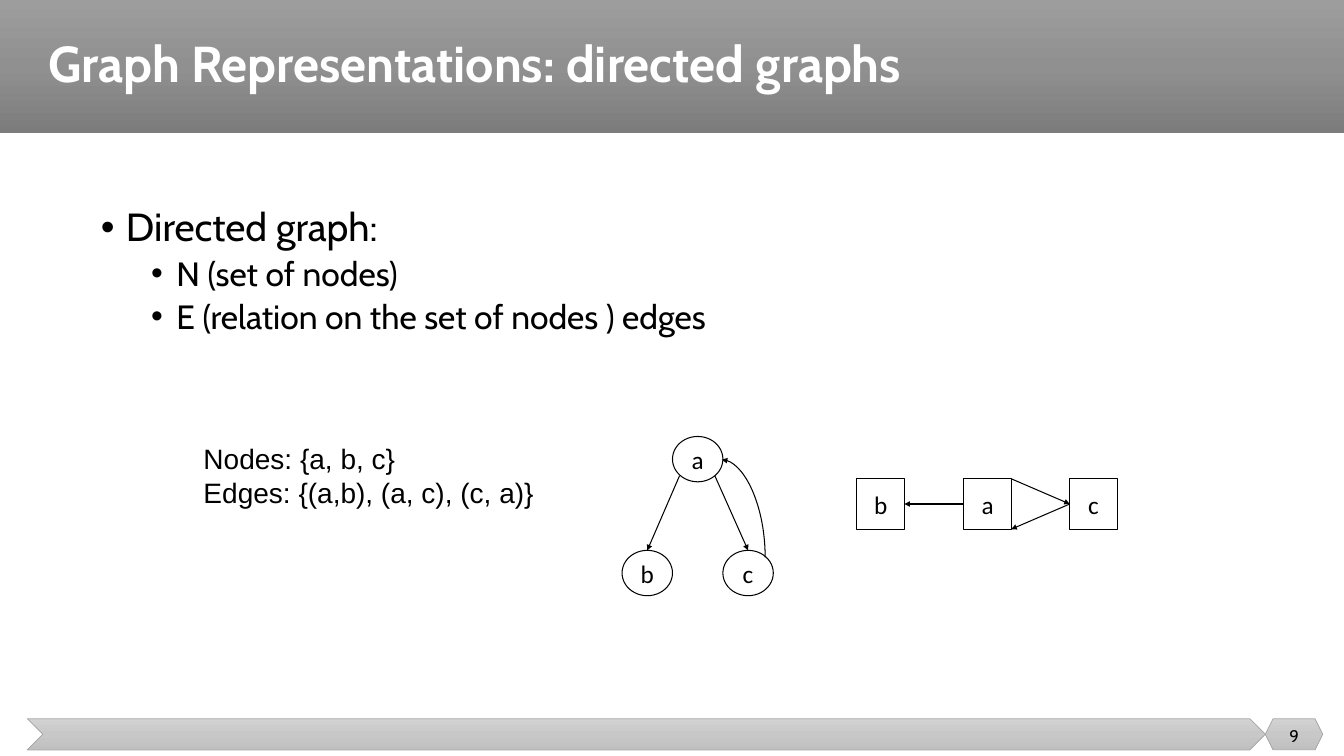
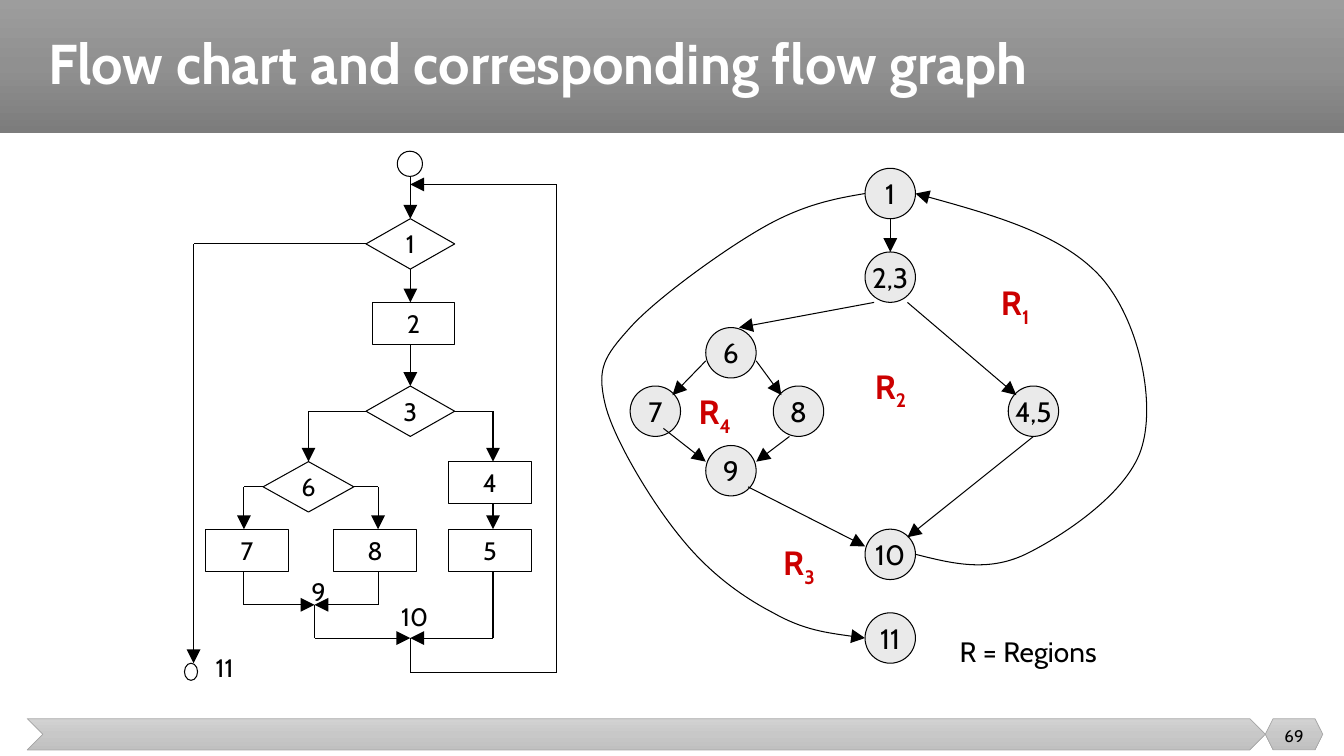
from copy import deepcopy
from typing import NamedTuple

from lxml import etree
from pptx import Presentation
from pptx import util as u
from pptx.dml.color import RGBColor
from pptx.enum import shapes, text
from pptx.oxml.ns import qn

COLORS = {"ink": "000000", "paper": "FFFFFF", "node": "EAEAEA", "region": "CC0000", "edge": "A5A5A5"}
BAND = ("9D9D9D", "909090", "7C7C7C")
FOOTER = ("D2D2D2", "C8C8C8", "C0C0C0")
KIND = shapes.MSO_SHAPE
ALIGN = text.PP_ALIGN
ANCHOR = text.MSO_ANCHOR


class Node(NamedTuple):
    """A labelled outline placed by its top left corner."""
    label: str
    x: float
    y: float
    w: float = 0.5
    h: float = 0.5
    kind: int = KIND.OVAL
    fill: str | None = None
    size: int = 18
    font: str = "Cabin"


class Label(NamedTuple):
    """A line of free text, with an optional subscript."""
    text: str
    x: float
    y: float
    w: float
    h: float = 0.4
    sub: str = ""


def rgb(name: str) -> RGBColor:
    """Look up a colour by name or take it as hex."""
    return RGBColor.from_string(COLORS.get(name, name))


def write(tf, content: str, *, size: float = 18, font: str = "Cabin", color: str = "ink",
          bold: bool = False, align=ALIGN.LEFT, level: int | None = None,
          spacing: float | None = None, before: float = 0, sub: str = "") -> None:
    """Add one paragraph to a text frame."""
    p = tf.paragraphs[0]
    if p.runs:
        p = tf.add_paragraph()
        p.space_before = u.Pt(before)
    p.alignment = align
    if spacing:
        p.line_spacing = spacing
    if level is not None:
        p.level = level
        pPr = p._p.get_or_add_pPr()
        pPr.set("marL", str(u.Inches(0.25 + 0.5 * level)))
        pPr.set("indent", str(u.Inches(-0.25)))
        etree.SubElement(pPr, qn("a:buFont")).set("typeface", "Arial")
        etree.SubElement(pPr, qn("a:buChar")).set("char", "•")
    for part in filter(None, (content, sub)):
        r = p.add_run()
        r.text = part
        r.font.size, r.font.name, r.font.bold = u.Pt(size), font, bold
        r.font.color.rgb = rgb(color)
    if sub:
        r._r.get_or_add_rPr().set("baseline", "-25000")


def text_box(s, x: float, y: float, w: float, h: float, anchor=ANCHOR.TOP, wrap: bool = True):
    """Add an empty text box and return its frame."""
    tf = s.shapes.add_textbox(*map(u.Inches, (x, y, w, h))).text_frame
    tf.word_wrap, tf.vertical_anchor = wrap, anchor
    return tf


def outline(sp, color: str = "ink", width: float = 0.75, head: str = "") -> None:
    """Set a line and, if a head size is given, its closing arrowhead."""
    sp.line.color.rgb = rgb(color)
    sp.line.width = u.Pt(width)
    if head:
        ln = sp._element.spPr.find(qn("a:ln"))
        etree.SubElement(ln, qn("a:tailEnd"), type="triangle", w=head, len=head)


def gradient_shape(s, kind, x: float, y: float, w: float, h: float, stops, edge: bool = True) -> None:
    """Add a shape with a vertical three-stop gradient."""
    sp = s.shapes.add_shape(kind, *map(u.Inches, (x, y, w, h)))
    sp.shadow.inherit = False
    sp.fill.gradient()
    sp.fill.gradient_angle = 270
    gs_list = sp._element.spPr.find(".//" + qn("a:gsLst"))
    gs_list.insert(1, deepcopy(gs_list[0]))
    for i, (stop, color) in enumerate(zip(sp.fill.gradient_stops, stops)):
        stop.position = i / 2
        stop.color.rgb = rgb(color)
    if edge:
        outline(sp, "edge", 0.5)
    else:
        sp.line.fill.background()


def new_slide(prs, title: str, title_size: float, number: int):
    """Add a slide with the title band and footer."""
    s = prs.slides.add_slide(prs.slide_layouts[6])
    gradient_shape(s, KIND.RECTANGLE, 0, 0, 13.33, 1.32, BAND, edge=False)
    gradient_shape(s, KIND.CHEVRON, 0.27, 7.13, 12.28, 0.31, FOOTER)
    gradient_shape(s, KIND.HEXAGON, 12.55, 7.13, 0.57, 0.31, FOOTER)
    write(text_box(s, 0.38, 0, 12.74, 1.32, ANCHOR.MIDDLE), title,
          size=title_size, color="paper", bold=True, spacing=0.9)
    write(text_box(s, 12.55, 7.1, 0.57, 0.4, ANCHOR.MIDDLE), str(number), size=12, align=ALIGN.CENTER)
    return s


def draw_node(s, node: Node):
    """Draw a node and return its shape."""
    sp = s.shapes.add_shape(node.kind, *map(u.Inches, (node.x, node.y, node.w, node.h)))
    sp.shadow.inherit = False
    if node.fill:
        sp.fill.solid()
        sp.fill.fore_color.rgb = rgb(node.fill)
    else:
        sp.fill.background()
    outline(sp)
    if node.label:
        tf = sp.text_frame
        tf.word_wrap, tf.vertical_anchor = False, ANCHOR.MIDDLE
        write(tf, node.label, size=node.size, font=node.font, align=ALIGN.CENTER)
    return sp


def side_at(nodes, x: int, y: int):
    """Find the shape and side whose middle lies at a point."""
    for sp in nodes:
        if sp.auto_shape_type == KIND.OVAL:
            continue
        cx, cy = sp.left + sp.width // 2, sp.top + sp.height // 2
        sides = ((cx, sp.top), (sp.left, cy), (cx, sp.top + sp.height), (sp.left + sp.width, cy))
        for i, (sx, sy) in enumerate(sides):
            if max(abs(sx - x), abs(sy - y)) < u.Inches(0.011):
                return sp, i
    return None


def draw_route(s, points, nodes=(), head: str = "lg") -> None:
    """Draw straight connectors through points, with an arrowhead at the end."""
    for a, b in zip(points, points[1:]):
        ends = [*map(u.Inches, (*a, *b))]
        c = s.shapes.add_connector(shapes.MSO_CONNECTOR.STRAIGHT, *ends)
        start, stop = side_at(nodes, *ends[:2]), side_at(nodes, *ends[2:])
        if start:
            c.begin_connect(*start)
        if stop:
            c.end_connect(*stop)
        outline(c, head=head if b == points[-1] else "")
        etree.SubElement(c._element.spPr, qn("a:effectLst"))


def draw_curve(s, points) -> None:
    """Draw an arrowed Bezier curve: a start, then three points per segment."""
    pts = [tuple(map(u.Inches, pt)) for pt in points]
    builder = s.shapes.build_freeform(*pts[0])
    builder.add_line_segments(pts[1:], close=False)
    sp = builder.convert_to_shape()
    sp.shadow.inherit = False
    sp.fill.background()
    outline(sp, head="lg")
    path = sp._element.spPr.find(".//" + qn("a:path"))
    steps = path.findall(qn("a:lnTo"))
    for i in range(0, len(steps), 3):
        cubic = etree.SubElement(path, qn("a:cubicBezTo"))
        for step in steps[i:i + 3]:
            cubic.append(step[0])
            path.remove(step)


def draw_return_arc(s) -> None:
    """Draw the curved connector from node c back to node a."""
    c = s.shapes.add_connector(shapes.MSO_CONNECTOR.CURVE, *map(u.Inches, (7.86, 4.83, 6.89, 5.26)))
    spPr = c._element.spPr
    spPr.find(qn("a:xfrm")).set("rot", "5400000")
    spPr.find(qn("a:prstGeom")).set("prst", "curvedConnector2")
    outline(c, head="sm")
    etree.SubElement(spPr, qn("a:effectLst"))


def directed_graphs(prs) -> None:
    """Build the slide on directed graphs."""
    s = new_slide(prs, "Graph Representations: directed graphs", 36, 9)
    tf = text_box(s, 0.38, 1.54, 12.74, 5.19)
    tf.margin_left, tf.margin_top = u.Inches(0.62), u.Inches(0.52)
    write(tf, "Directed graph:", size=28, level=0, spacing=0.9)
    for line in ("N (set of nodes)", "E (relation on the set of nodes ) edges"):
        write(tf, line, size=24, level=1, spacing=0.9, before=5)
    tf = text_box(s, 1.92, 4.33, 4.33, 0.92)
    for line in ("Nodes: {a, b, c}", "Edges: {(a,b), (a, c), (c, a)}"):
        write(tf, line, size=20, font="Arial")

    for label, x, y in (("a", 6.67, 4.33), ("b", 6.17, 5.46), ("c", 7.17, 5.46)):
        draw_node(s, Node(label, x, y, h=0.45, font="Calibri"))
    boxes = [draw_node(s, Node(label, x, 4.75, 0.47, kind=KIND.RECTANGLE, font="Calibri"))
             for label, x in (("b", 8.5), ("a", 9.56), ("c", 10.61))]
    for route in (
        ((6.74, 4.72), (6.42, 5.46)),
        ((7.09, 4.72), (7.42, 5.46)),
        ((9.56, 5), (8.97, 5)),
        ((10.61, 5), (10.03, 5.25)),
        ((10.03, 4.75), (10.61, 5)),
    ):
        draw_route(s, route, boxes, head="sm")
    draw_return_arc(s)


def draw_flow_chart(s) -> None:
    """Draw the flow chart on the left."""
    draw_node(s, Node("", 1.83, 6.58, 0.13, 0.17))
    draw_node(s, Node("", 3.94, 1.5, 0.25, 0.25, fill="paper"))
    decisions = (("1", 3.63, 2.17, 0.88), ("3", 3.63, 3.83, 0.88), ("6", 2.61, 4.58, 0.9))
    steps = (("2", 3.69, 3), ("4", 4.45, 4.58), ("5", 4.45, 5.25), ("7", 2.04, 5.25), ("8", 3.31, 5.25))
    nodes = [draw_node(s, Node(*d, kind=KIND.DIAMOND, fill="paper")) for d in decisions]
    nodes += [draw_node(s, Node(*d, 0.82, 0.42, KIND.RECTANGLE, "paper")) for d in steps]
    for route in (
        ((2.42, 5.67), (2.42, 6), (3.12, 6)),
        ((3.75, 5.67), (3.75, 6), (3.12, 6)),
        ((4.89, 5.67), (4.89, 6.33), (4.07, 6.33)),
        ((3.12, 6), (3.12, 6.33), (4.07, 6.33)),
        ((4.07, 1.75), (4.07, 2.17)),
        ((4.07, 2.67), (4.07, 3)),
        ((4.07, 3.42), (4.07, 3.83)),
        ((3.63, 4.08), (3.06, 4.08), (3.06, 4.58)),
        ((4.51, 4.08), (4.89, 4.08), (4.89, 4.58)),
        ((4.89, 5), (4.89, 5.25)),
        ((2.61, 4.83), (2.42, 4.83), (2.42, 5.25)),
        ((3.51, 4.83), (3.75, 4.83), (3.75, 5.25)),
        ((4.07, 6.33), (4.07, 6.67), (5.52, 6.67), (5.52, 1.83), (4.07, 1.83)),
        ((3.63, 2.42), (1.92, 2.42), (1.92, 6.58)),
    ):
        draw_route(s, route, nodes)
    for d in (Label("9", 2.99, 5.67, 0.25), Label("10", 3.88, 5.92, 0.64), Label("11", 2.04, 6.42, 0.64)):
        write(text_box(s, d.x, d.y, d.w, d.h), d.text)


def draw_flow_graph(s) -> None:
    """Draw the flow graph on the right with its regions."""
    draw_curve(s, (
        (8.58, 1.92), (8.28, 1.97), (7.97, 2.03), (7.58, 2.25), (7.19, 2.47), (6.51, 2.96), (6.25, 3.25),
        (5.99, 3.54), (5.92, 3.65), (6, 4), (6.08, 4.35), (6.47, 4.99), (6.75, 5.33),
        (7.03, 5.68), (7.36, 5.92), (7.67, 6.08), (7.97, 6.25), (8.28, 6.29), (8.58, 6.33)))
    draw_curve(s, (
        (9.08, 5.5), (9.44, 5.59), (9.79, 5.68), (10.17, 5.5), (10.54, 5.32), (11.21, 4.88), (11.33, 4.42),
        (11.46, 3.96), (11.29, 3.17), (10.92, 2.75), (10.54, 2.33), (9.81, 2.12), (9.08, 1.92)))
    for place in (("1", 8.58, 1.67), ("2,3", 8.58, 2.5), ("10", 8.58, 5.25), ("11", 8.58, 6.08), ("6", 7, 3.25),
                  ("9", 7, 4.42), ("8", 7.67, 3.83), ("4,5", 10, 3.83), ("7", 6.25, 3.83)):
        draw_node(s, Node(*place, fill="node", size=20))
    for route in (
        ((8.83, 2.17), (8.83, 2.5)),
        ((9, 3), (10.08, 3.92)),
        ((8.67, 3), (7.33, 3.25)),
        ((7, 3.58), (6.67, 3.92)),
        ((7.5, 3.58), (7.75, 3.92)),
        ((6.58, 4.25), (7, 4.58)),
        ((7.83, 4.33), (7.5, 4.58)),
        ((7.42, 4.83), (8.58, 5.42)),
        ((10.25, 4.33), (9, 5.33)),
    ):
        draw_route(s, route)
    for i, (x, y) in enumerate(((9.83, 2.75), (8.58, 3.58), (7.67, 5.33), (6.83, 3.83)), 1):
        d = Label("R", x, y, 0.83, 0.5, str(i))
        write(text_box(s, d.x, d.y, d.w, d.h), d.text, size=24, color="region", bold=True, sub=d.sub)
    write(text_box(s, 9.42, 6.25, 1.59, 0.44, wrap=False), "R = Regions", size=20)


def main() -> None:
    """Build and save the presentation."""
    prs = Presentation()
    prs.slide_width, prs.slide_height = u.Inches(13.33), u.Inches(7.5)
    directed_graphs(prs)
    s = new_slide(prs, "Flow chart and corresponding flow graph", 40, 69)
    draw_flow_chart(s)
    draw_flow_graph(s)
    prs.save("out.pptx")


if __name__ == "__main__":
    main()
